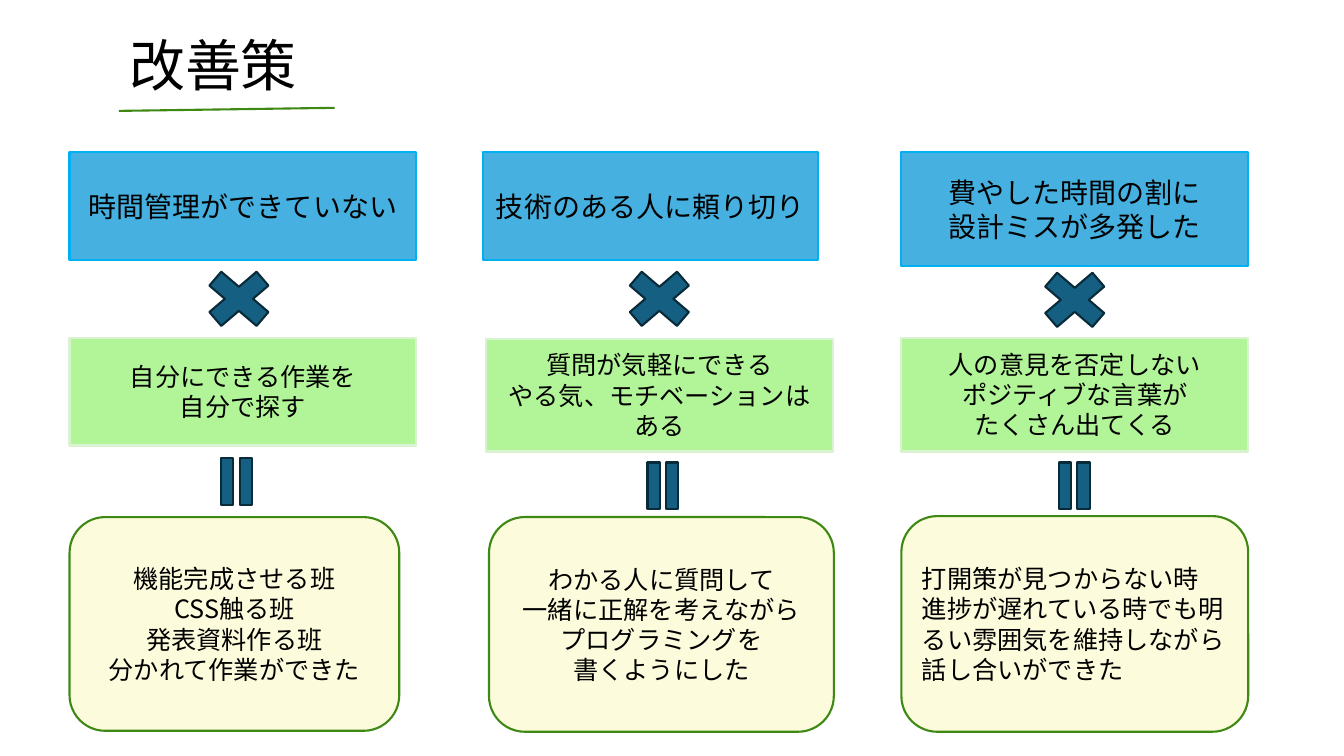
from lxml import etree
from pptx import Presentation
from pptx.dml.color import RGBColor
from pptx.enum import shapes, text
from pptx.oxml.ns import qn
from pptx.util import Inches, Pt

FONT = "Noto Sans CJK JP"
BLACK = RGBColor(0x00, 0x00, 0x00)
GREEN = RGBColor(0x3E, 0x89, 0x14)
CREAM = RGBColor(0xFC, 0xFB, 0xDC)
BLUE = RGBColor(0x46, 0xB1, 0xE1)
BLUE_EDGE = RGBColor(0x00, 0xB0, 0xF0)
LIME = RGBColor(0xB2, 0xF5, 0x98)
LIME_EDGE = RGBColor(0xD9, 0xF2, 0xD0)
TEAL = RGBColor(0x15, 0x60, 0x82)
TEAL_EDGE = RGBColor(0x09, 0x2A, 0x39)
LEFT, CENTER = text.PP_ALIGN.LEFT, text.PP_ALIGN.CENTER
KIND = shapes.MSO_SHAPE


def write(frame, lines, size=18, align=CENTER, anchor=text.MSO_ANCHOR.MIDDLE):
    frame.word_wrap = True
    frame.auto_size = text.MSO_AUTO_SIZE.NONE
    frame.vertical_anchor = anchor
    for index, line in enumerate(lines):
        paragraph = frame.add_paragraph() if index else frame.paragraphs[0]
        paragraph.alignment = align
        paragraph.line_spacing = Pt(size * 1.2)
        run = paragraph.add_run()
        run.text = line
        run.font.size = Pt(size)
        run.font.name = FONT
        run.font.color.rgb = BLACK
        east_asian = etree.SubElement(run.font._element, qn("a:ea"))
        east_asian.set("typeface", FONT)


def add_block(kind, box, fill, edge):
    block = slide.shapes.add_shape(kind, *[Inches(n) for n in box])
    block.shadow.inherit = False
    block.fill.solid()
    block.fill.fore_color.rgb = fill
    block.line.color.rgb = edge
    block.line.width = Pt(1.5)
    return block


deck = Presentation()
deck.slide_width, deck.slide_height = Inches(13.33), Inches(7.5)
slide = deck.slides.add_slide(deck.slide_layouts[5])

title = slide.shapes.title
title.left, title.top = Inches(1.18), Inches(0.25)
title.width, title.height = Inches(3.54), Inches(0.77)
write(title.text_frame, ["改善策"], size=40, align=LEFT, anchor=text.MSO_ANCHOR.TOP)

underline = slide.shapes.add_connector(
    shapes.MSO_CONNECTOR.STRAIGHT, Inches(1.18), Inches(1.1), Inches(3.32), Inches(1.07))
underline.line.color.rgb = GREEN
underline.line.width = Pt(1.5)
etree.SubElement(underline._element.spPr, qn("a:effectLst"))

# Each column: problem × strength = result, as (box, lines), then the two signs
columns = [
    (((0.69, 1.51, 3.44, 1.07), ["時間管理ができていない"]),
     ((0.69, 3.35, 3.44, 1.07), ["自分にできる作業を", "自分で探す"]),
     ((0.69, 5.13, 3.27, 2.12),
      ["機能完成させる班", "CSS触る班", "発表資料作る班", "分かれて作業ができた"]),
     CENTER, (1.92, 2.58), (2.03, 4.52)),
    (((4.79, 1.51, 3.32, 1.07), ["技術のある人に頼り切り"]),
     ((4.82, 3.36, 3.44, 1.12), ["質問が気軽にできる", "やる気、モチベーションはある"]),
     ((4.85, 5.13, 3.42, 2.13),
      ["わかる人に質問して", "一緒に正解を考えながら", "プログラミングを", "書くようにした"]),
     CENTER, (6.09, 2.58), (6.26, 4.56)),
    (((8.94, 1.51, 3.44, 1.13), ["費やした時間の割に", "設計ミスが多発した"]),
     ((8.94, 3.35, 3.44, 1.13),
      ["人の意見を否定しない", "ポジティブな言葉が", "たくさん出てくる"]),
     ((8.94, 5.12, 3.44, 2.14),
      ["打開策が見つからない時",
       "進捗が遅れている時でも明るい雰囲気を維持しながら話し合いができた"]),
     LEFT, (10.21, 2.59), (10.34, 4.56)),
]

for problem, strength, result, result_align, times_at, equals_at in columns:
    for (box, lines), kind, fill, edge, size, align in [
        (problem, KIND.RECTANGLE, BLUE, BLUE_EDGE, 20, CENTER),
        (strength, KIND.RECTANGLE, LIME, LIME_EDGE, 18, CENTER),
        (result, KIND.ROUNDED_RECTANGLE, CREAM, GREEN, 18, result_align),
    ]:
        write(add_block(kind, box, fill, edge).text_frame, lines, size=size, align=align)
    add_block(KIND.MATH_MULTIPLY, (*times_at, 0.9, 0.77), TEAL, TEAL_EDGE)
    equals = add_block(KIND.MATH_EQUAL, (*equals_at, 0.63, 0.52), TEAL, TEAL_EDGE)
    equals.rotation = 90

deck.save("out.pptx")
